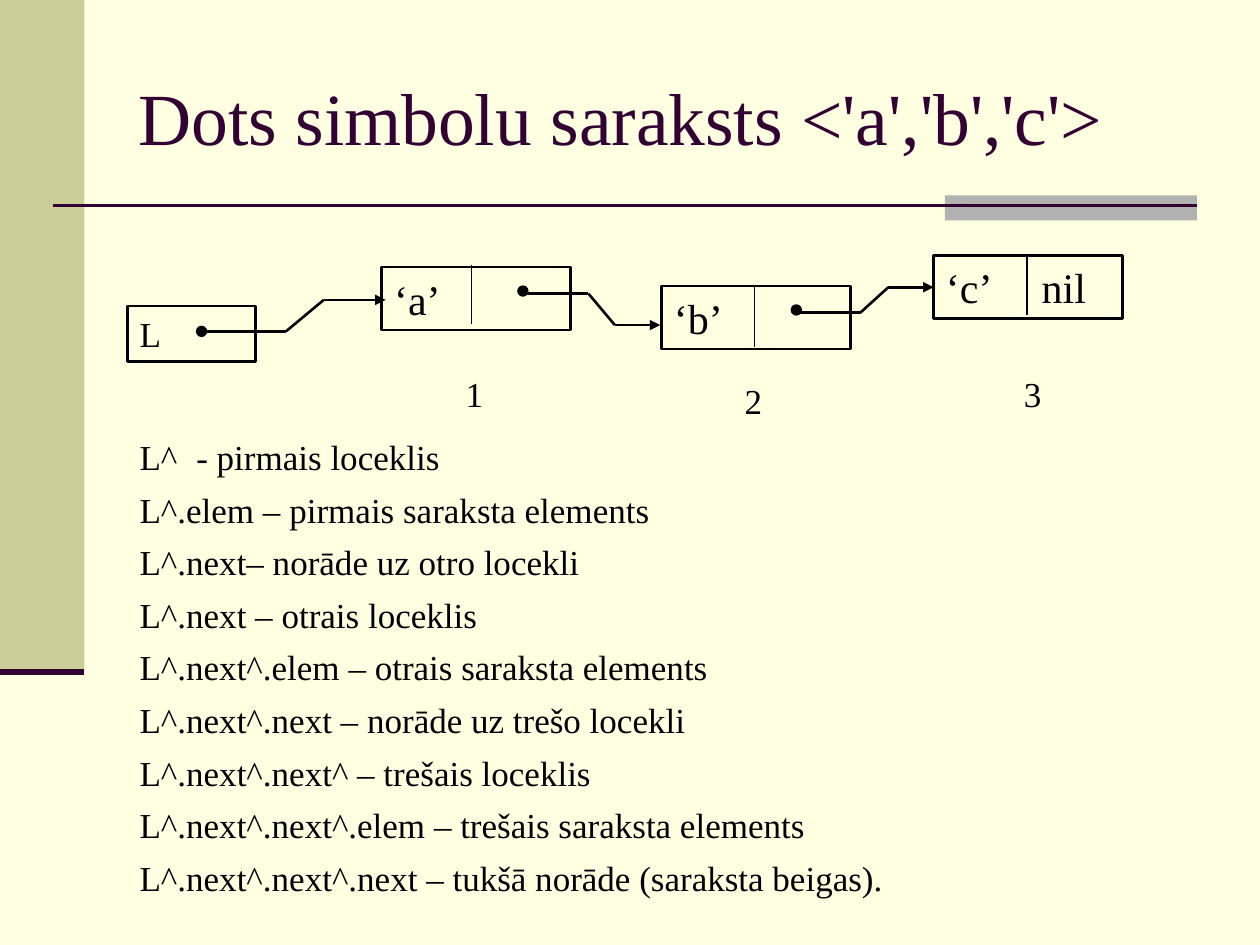
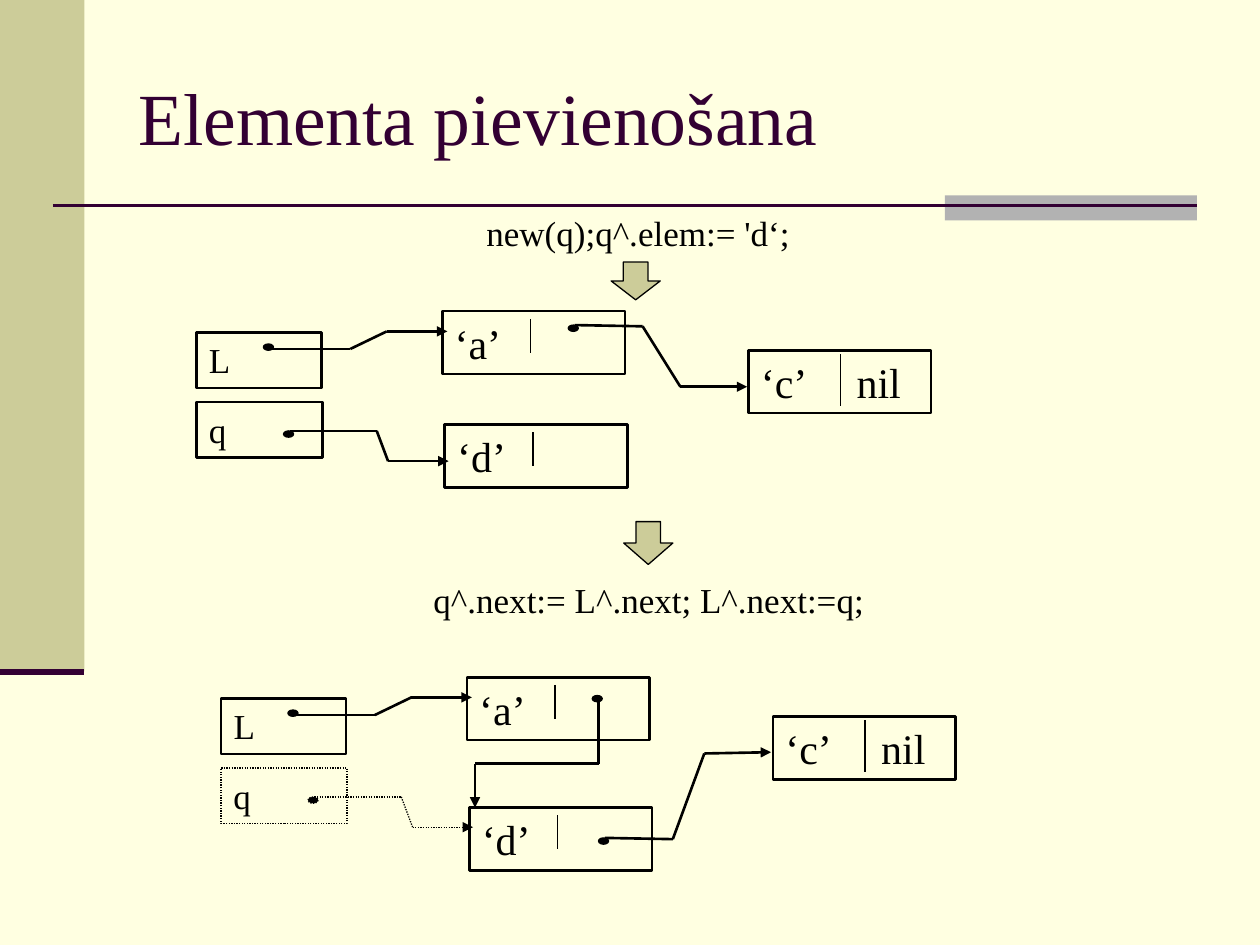
from dataclasses import dataclass

from lxml import etree
from pptx import Presentation
from pptx.dml.color import RGBColor
from pptx.enum.dml import MSO_LINE
from pptx.enum.shapes import MSO_CONNECTOR, MSO_SHAPE
from pptx.enum.text import MSO_ANCHOR, PP_ALIGN
from pptx.oxml.ns import qn
from pptx.util import Inches, Pt

RECT, DOT, DOWN = MSO_SHAPE.RECTANGLE, MSO_SHAPE.FLOWCHART_CONNECTOR, MSO_SHAPE.DOWN_ARROW
LINE = MSO_CONNECTOR.STRAIGHT
LEFT, MID = PP_ALIGN.LEFT, PP_ALIGN.CENTER
TOP, CENTRE = MSO_ANCHOR.TOP, MSO_ANCHOR.MIDDLE
DOTTED = MSO_LINE.ROUND_DOT

# The slide is a grid of 100 columns and 75 rows
COLS, ROWS = 100, 75
CELL = Inches(10) // COLS
NIL_TAB, DASH_TAB = 7.6, 4.5


@dataclass(frozen=True)
class Theme:
    font: str = "Times New Roman"
    paper: RGBColor = RGBColor.from_string("FFFFE1")
    sand: RGBColor = RGBColor.from_string("CCCC99")
    grey: RGBColor = RGBColor.from_string("B2B2B2")
    plum: RGBColor = RGBColor.from_string("330033")
    ink: RGBColor = RGBColor.from_string("000000")
    head: int = 42
    node: int = 24
    text: int = 20
    thin: float = 0.75
    bold: float = 1.5
    bar: float = 3.5


THEME = Theme()
FADED = {"width": Pt(THEME.thin), "dash_style": DOTTED}

NOTES = (
    "L^\t- pirmais loceklis",
    "L^.elem – pirmais saraksta elements",
    "L^.next– norāde uz otro locekli",
    "L^.next – otrais loceklis",
    "L^.next^.elem – otrais saraksta elements",
    "L^.next^.next – norāde uz trešo locekli",
    "L^.next^.next^ – trešais loceklis",
    "L^.next^.next^.elem – trešais saraksta elements",
    "L^.next^.next^.next – tukšā norāde (saraksta beigas).",
)


def grid(*cells):
    return [round(n * CELL) for n in cells]


def apply(item, values):
    for name, value in values.items():
        setattr(item, name, value)


def stroke(line, form=None, color=THEME.ink):
    line.color.rgb = color
    apply(line, {"width": Pt(THEME.bold)} | (form or {}))


# Text
def write(shape, lines, size, color=THEME.ink, align=LEFT, anchor=TOP, tab=None):
    frame = shape.text_frame
    apply(frame, {"word_wrap": True, "vertical_anchor": anchor})
    for i, line in enumerate(lines):
        par = frame.add_paragraph() if i else frame.paragraphs[0]
        apply(par, {"alignment": align, "space_before": Pt(6 if i else 0)})
        if "\t" in line:
            stops = etree.SubElement(par._p.get_or_add_pPr(), qn("a:tabLst"))
            etree.SubElement(stops, qn("a:tab"), pos=str(round(tab * CELL)), algn="l")
        run = par.add_run()
        run.text = line
        apply(run.font, {"name": THEME.font, "size": Pt(size)})
        run.font.color.rgb = color


def label(slide, area, lines, size=THEME.text, **form):
    write(slide.shapes.add_textbox(*grid(*area)), lines, size, **form)


# Shapes and lines
def block(slide, kind, area, fill=None, form=None, edge=True):
    shape = slide.shapes.add_shape(kind, *grid(*area))
    shape.shadow.inherit = False
    if fill is None:
        shape.fill.background()
    else:
        shape.fill.solid()
        shape.fill.fore_color.rgb = fill
    if edge:
        stroke(shape.line, form)
    else:
        shape.line.fill.background()
    return shape


def rule(slide, start, end, form=None, color=THEME.ink, arrow=False):
    line = slide.shapes.add_connector(LINE, *grid(*start, *end))
    stroke(line.line, form, color)
    if arrow:
        etree.SubElement(line.line._get_or_add_ln(), qn("a:tailEnd"), type="triangle")
    etree.SubElement(line._element.spPr, qn("a:effectLst"))


def arrow(slide, x, y, tall):
    block(slide, DOWN, (x, y, 3.9, tall), THEME.sand, {"width": Pt(THEME.thin)})


# List diagram
def node(slide, x, y, text, wide, split):
    """A list member, with split = (column, row, length) of its divider."""
    write(block(slide, RECT, (x, y, wide, 5)), [text], THEME.node, tab=NIL_TAB)
    col, row, tall = split
    rule(slide, (x + col, y + row), (x + col, y + row + tall), {"width": Pt(THEME.thin)})


def head(slide, x, y, text, wide, form=None):
    write(block(slide, RECT, (x, y, wide, 4.4), form=form), [text], THEME.text)


def link(slide, dot, points, tall=0.5, form=None, shift=(0, 0)):
    """A pointer: a dot, then a bent line whose last part has an arrowhead."""
    dx, dy = shift
    spots = [(x + dx, y + dy) for x, y in points]
    for i, (start, end) in enumerate(zip(spots, spots[1:]), 2):
        rule(slide, start, end, form, arrow=i == len(spots))
    block(slide, DOT, (dot[0] + dx, dot[1] + dy, 0.8, tall), THEME.ink,
          {"width": Pt(THEME.thin)} | (form or {}))


def stage(slide, dx, dy, drop, form=None):
    """Heads L and q with members a, c and d; drop moves d further down."""
    slim = (7, 0.6, 2.7)
    node(slide, 35.1 + dx, 24.7 + dy, "‘a’", 14.5, slim)
    node(slide, 59.4 + dx, 27.8 + dy, "‘c’\tnil", 14.5, (7.3, 0.3, 4.1))
    node(slide, 35.3 + dx, 33.7 + dy + drop, "‘d’", 14.5, slim)
    head(slide, 15.6 + dx, 26.4 + dy, "L", 9.9)
    head(slide, 15.6 + dx, 31.9 + dy, "q", 10, form)
    link(slide, (20.9, 27.3), [(21, 27.7), (27.8, 27.7), (30.7, 26.3), (35.5, 26.3)],
         shift=(dx, dy))
    link(slide, (22.5, 34.2), [(23, 34.2), (29.9, 34.2), (30.8, 36.6), (35.6, 36.6)],
         form=form, shift=(dx, dy))


# Shared frame: side band, accent, rules and title
def page(deck, title):
    slide = deck.slides.add_slide(deck.slide_layouts[6])
    block(slide, RECT, (0, 0, 6.7, 53.3), THEME.sand, edge=False)
    block(slide, RECT, (75, 15.5, 20, 2), THEME.grey, edge=False)
    rule(slide, (4.2, 16.3), (95, 16.3), color=THEME.plum)
    rule(slide, (0, 53.3), (6.7, 53.3), {"width": Pt(THEME.bar)}, THEME.plum)
    label(slide, (10, 3, 85, 12.5), [title], THEME.head, color=THEME.plum, anchor=CENTRE)
    return slide


def given(deck):
    slide = page(deck, "Dots simbolu saraksts <'a','b','c'>")
    head(slide, 10.1, 24.3, "L", 10.2)
    for x, y, text, split in (
        (30.3, 21.2, "‘a’", (7.1, -0.2, 4.7)),
        (52.5, 22.7, "‘b’", (7.4, 0, 4.8)),
        (74.1, 20.3, "‘c’\tnil", (7.4, 0, 4.7)),
    ):
        node(slide, x, y, text, 15, split)
    for dot, points in (
        ((15.6, 25.9), [(15.6, 26.3), (22.7, 26.3), (25.7, 23.8), (30.6, 23.8)]),
        ((41.1, 22.7), [(41.4, 23.3), (46.7, 23.3), (48.8, 25.8), (52.4, 25.8)]),
        ((62.8, 24.2), [(63.1, 24.8), (68.3, 24.8), (70.5, 22.8), (74.1, 22.8)]),
    ):
        link(slide, dot, points, tall=0.8)
    for i, y in enumerate((29.1, 29.6, 29.1)):
        label(slide, (35.2 + 22.15 * i, y, 4.9, 4.4), [str(i + 1)], align=MID)
    label(slide, (10.1, 34.1, 84.7, 36.6), NOTES, tab=DASH_TAB)


def insert(deck):
    slide = page(deck, "Elementa pievienošana")
    label(slide, (8.3, 16.3, 84.7, 4.4), ["new(q);q^.elem:= 'd‘;"], align=MID)
    arrow(slide, 48.5, 20.8, 3)
    # Before the insertion
    stage(slide, 0, 0, 0)
    link(slide, (45.1, 25.8), [(45.6, 25.8), (51, 25.9), (54, 30.7), (59.3, 30.7)])
    arrow(slide, 49.5, 41.4, 3.4)
    label(slide, (7.2, 45.4, 88.6, 4.4), ["q^.next:= L^.next; L^.next:=q;"], align=MID)
    # After the insertion
    stage(slide, 1.95, 29.05, 1.35, FADED)
    link(slide, (47.5, 66.5), [(48, 66.5), (53.4, 66.6), (55.9, 59.8), (61.2, 59.7)])
    link(slide, (47, 55.2), [(47.5, 55.7), (47.5, 60.6), (37.7, 60.6), (37.7, 64.1)])


def main():
    deck = Presentation()
    apply(deck, {"slide_width": COLS * CELL, "slide_height": ROWS * CELL})
    back = deck.slide_master.background.fill
    back.solid()
    back.fore_color.rgb = THEME.paper
    given(deck)
    insert(deck)
    deck.save("out.pptx")


if __name__ == "__main__":
    main()
